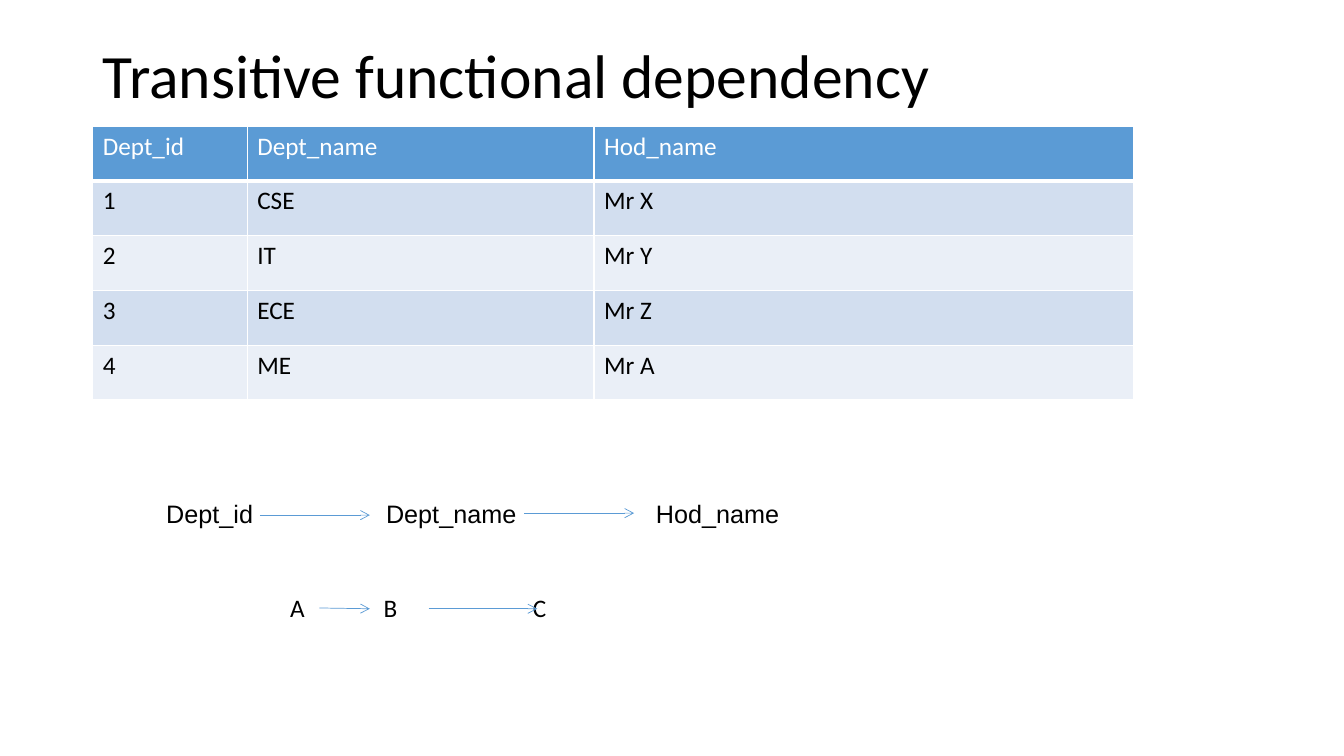
from dataclasses import dataclass

from lxml.etree import SubElement
from pptx import Presentation
from pptx.dml.color import RGBColor
from pptx.enum.shapes import MSO_CONNECTOR
from pptx.enum.text import MSO_ANCHOR, MSO_AUTO_SIZE, PP_ALIGN
from pptx.oxml.ns import qn
from pptx.util import Cm, Pt

BLUE, WHITE, BLACK = "5B9BD5", "FFFFFF", "000000"
BANDS = ("D2DEEF", "EAEFF7")
COLUMN_WIDTHS = (3.89, 8.74, 13.61)
ROW_HEIGHT = 1.38
ROWS = (
    ("Dept_id", "Dept_name", "Hod_name"),
    ("1", "CSE", "Mr X"),
    ("2", "IT", "Mr Y"),
    ("3", "ECE", "Mr Z"),
    ("4", "ME", "Mr A"),
)


@dataclass
class Chain:
    names: tuple[str, ...]
    left: float
    top: float
    width: float
    tabs: tuple[float, ...]
    font: str


@dataclass
class Arrow:
    x1: float
    y1: float
    x2: float
    y2: float


CHAINS = (
    Chain(("A", "B", "C"), 7.06, 14.81, 20.12, (2.36, 6.12), "Calibri"),
    Chain(ROWS[0], 3.94, 12.42, 16.43, (5.54, 12.34), "Arial"),
)
ARROWS = (
    Arrow(8.05, 15.32, 9.32, 15.34),
    Arrow(10.8, 15.34, 13.54, 15.34),
    Arrow(6.55, 12.98, 9.32, 12.98),
    Arrow(13.21, 12.93, 15.98, 12.93),
)


def rgb(value: str) -> RGBColor:
    return RGBColor.from_string(value)


def set_font(p, name: str, size: float, color: str) -> None:
    p.font.name = name
    p.font.size = Pt(size)
    p.font.bold = False
    p.font.color.rgb = rgb(color)


def add_title(s) -> None:
    sp = s.shapes.title
    sp.left, sp.top, sp.width, sp.height = Cm(2.34), Cm(1.02), Cm(29.21), Cm(3.68)
    tf = sp.text_frame
    tf.text = "Transitive functional dependency"
    tf.auto_size = MSO_AUTO_SIZE.NONE
    tf.vertical_anchor = MSO_ANCHOR.TOP
    p = tf.paragraphs[0]
    p.alignment = PP_ALIGN.LEFT
    p.line_spacing = 0.9
    set_font(p, "Calibri", 44, BLACK)


def set_borders(cell, bottom: float) -> None:
    tc_pr = cell._tc.get_or_add_tcPr()
    for side, width in (("L", 1), ("R", 1), ("T", 1), ("B", bottom)):
        ln = SubElement(tc_pr, qn(f"a:ln{side}"), w=str(Pt(width)))
        fill = SubElement(ln, qn("a:solidFill"))
        SubElement(fill, qn("a:srgbClr"), val=WHITE)


def add_departments(s) -> None:
    table = s.shapes.add_table(
        len(ROWS), len(COLUMN_WIDTHS), Cm(2.34), Cm(3.18),
        Cm(sum(COLUMN_WIDTHS)), Cm(ROW_HEIGHT * len(ROWS)),
    ).table
    for column, width in zip(table.columns, COLUMN_WIDTHS):
        column.width = Cm(width)
    for i, row in enumerate(ROWS):
        table.rows[i].height = Cm(ROW_HEIGHT)
        header = i == 0
        for j, text in enumerate(row):
            cell = table.cell(i, j)
            cell.text = text
            set_borders(cell, 3 if header else 1)
            cell.fill.solid()
            cell.fill.fore_color.rgb = rgb(BLUE if header else BANDS[(i - 1) % 2])
            set_font(cell.text_frame.paragraphs[0], "Calibri", 18, WHITE if header else BLACK)


def add_chain(s, chain: Chain) -> None:
    sp = s.shapes.add_textbox(Cm(chain.left), Cm(chain.top), Cm(chain.width), Cm(1.02))
    tf = sp.text_frame
    tf.word_wrap = True
    tf.auto_size = MSO_AUTO_SIZE.SHAPE_TO_FIT_TEXT
    p = tf.paragraphs[0]
    p.text = "\t".join(chain.names)
    tab_list = SubElement(p._p.get_or_add_pPr(), qn("a:tabLst"))
    for position in chain.tabs:
        SubElement(tab_list, qn("a:tab"), pos=str(Cm(position)), algn="l")
    set_font(p, chain.font, 18, BLACK)


def add_arrow(s, arrow: Arrow) -> None:
    sp = s.shapes.add_connector(
        MSO_CONNECTOR.STRAIGHT, Cm(arrow.x1), Cm(arrow.y1), Cm(arrow.x2), Cm(arrow.y2)
    )
    sp.line.color.rgb = rgb(BLUE)
    sp.line.width = Pt(0.5)
    SubElement(sp.line._get_or_add_ln(), qn("a:tailEnd"), type="arrow")
    SubElement(sp._element.spPr, qn("a:effectLst"))


def main() -> None:
    prs = Presentation()
    prs.slide_width, prs.slide_height = Cm(33.87), Cm(19.05)
    s = prs.slides.add_slide(prs.slide_layouts[5])
    add_title(s)
    add_departments(s)
    for chain in CHAINS:
        add_chain(s, chain)
    for arrow in ARROWS:
        add_arrow(s, arrow)
    prs.save("out.pptx")


if __name__ == "__main__":
    main()
